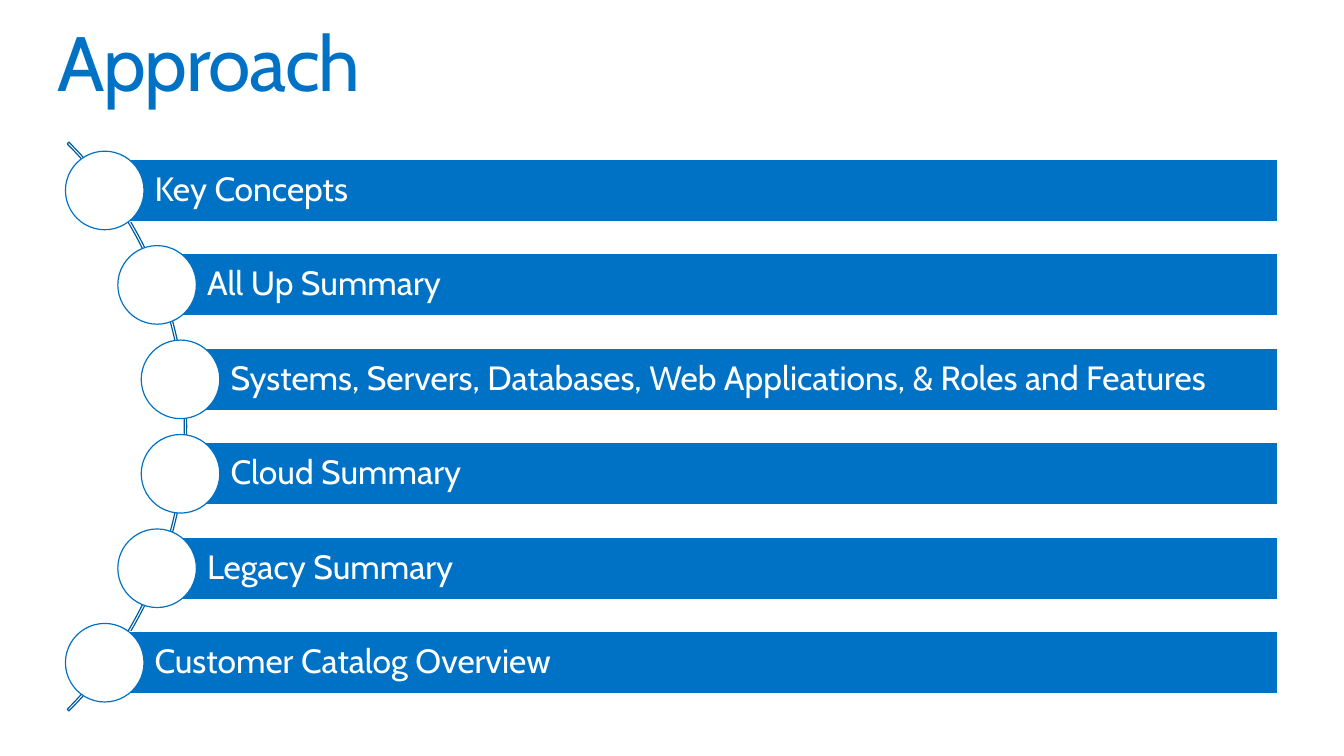
"""Build the Approach slide: six agenda bars strung along an arc."""
from dataclasses import dataclass

import pptx
import pptx.dml.color
import pptx.enum.shapes
import pptx.enum.text
import pptx.util

Cm = pptx.util.Cm
Pt = pptx.util.Pt
Preset = pptx.enum.shapes.MSO_SHAPE
Anchor = pptx.enum.text.MSO_ANCHOR

COLORS = {"blue": "0072C6", "dark": "005B9F", "white": "FFFFFF"}
FONT = "Cabin"
FIRST_CENTER, PITCH = 4.8, 2.38
BAR_RIGHT, BAR_HEIGHT = 32.21, 1.57
CIRCLE_SIZE = 1.98
ARC_CENTER, ARC_SIZE = -5.43, 20.27


@dataclass(frozen=True)
class Topic:
    """An agenda topic and the x position of its circle's centre in cm."""

    label: str
    center: float


TOPICS = [
    Topic("Key Concepts", 2.64),
    Topic("All Up Summary", 3.96),
    Topic("Systems, Servers, Databases, Web Applications, & Roles and Features", 4.55),
    Topic("Cloud Summary", 4.55),
    Topic("Legacy Summary", 3.96),
    Topic("Customer Catalog Overview", 2.64),
]


def rgb(name: str) -> pptx.dml.color.RGBColor:
    """Return the named colour."""
    return pptx.dml.color.RGBColor.from_string(COLORS[name])


def add_preset(slide, preset, left: float, top: float, width: float, height: float,
               line: str, fill: str | None = None):
    """Draw a flat outlined preset shape, placed in cm."""
    shape = slide.shapes.add_shape(preset, Cm(left), Cm(top), Cm(width), Cm(height))
    shape.shadow.inherit = False
    if fill:
        shape.fill.solid()
        shape.fill.fore_color.rgb = rgb(fill)
    else:
        shape.fill.background()
    shape.line.color.rgb = rgb(line)
    shape.line.width = Pt(0.85)
    return shape


def write_text(shape, text: str, *, size: float, color: str, anchor=Anchor.TOP,
               left_inset: float = 0, inset: float = 0, tracking: int = 0) -> None:
    """Fill a shape with one left-aligned line of text."""
    frame = shape.text_frame
    frame.word_wrap = True
    frame.vertical_anchor = anchor
    frame.margin_left = Cm(left_inset)
    frame.margin_top = frame.margin_right = frame.margin_bottom = Cm(inset)
    paragraph = frame.paragraphs[0]
    paragraph.alignment = pptx.enum.text.PP_ALIGN.LEFT
    paragraph.line_spacing = 0.9
    run = paragraph.add_run()
    run.text = text
    run.font.name = FONT
    run.font.size = Pt(size)
    run.font.color.rgb = rgb(color)
    if tracking:
        run.font._element.set("spc", str(tracking))


def add_arc(slide) -> None:
    """Draw the thin arc centred on the list's height."""
    middle = FIRST_CENTER + PITCH * (len(TOPICS) - 1) / 2
    arc = add_preset(slide, Preset.BLOCK_ARC, ARC_CENTER - ARC_SIZE / 2,
                     middle - ARC_SIZE / 2, ARC_SIZE, ARC_SIZE, "dark")
    for index, value in enumerate((189, 27, 0.003)):
        arc.adjustments[index] = value


def add_topic(slide, topic: Topic, row: int) -> None:
    """Draw a topic's bar with its circle on top."""
    middle = FIRST_CENTER + row * PITCH
    bar = add_preset(slide, Preset.RECTANGLE, topic.center, middle - BAR_HEIGHT / 2,
                     BAR_RIGHT - topic.center, BAR_HEIGHT, "white", "blue")
    write_text(bar, topic.label, size=24, color="white", anchor=Anchor.MIDDLE,
               left_inset=1.26, inset=0.17)
    add_preset(slide, Preset.OVAL, topic.center - CIRCLE_SIZE / 2,
               middle - CIRCLE_SIZE / 2, CIRCLE_SIZE, CIRCLE_SIZE, "blue", "white")


def main() -> None:
    """Build and save the presentation."""
    deck = pptx.Presentation()
    deck.slide_width, deck.slide_height = Cm(33.87), Cm(19.05)
    slide = deck.slides.add_slide(deck.slide_layouts[6])
    title = slide.shapes.add_textbox(Cm(1.45), Cm(0.64), Cm(30.99), Cm(2.08))
    write_text(title, "Approach", size=55, color="blue", tracking=-100)
    add_arc(slide)
    for row, topic in enumerate(TOPICS):
        add_topic(slide, topic, row)
    deck.save("out.pptx")


if __name__ == "__main__":
    main()
